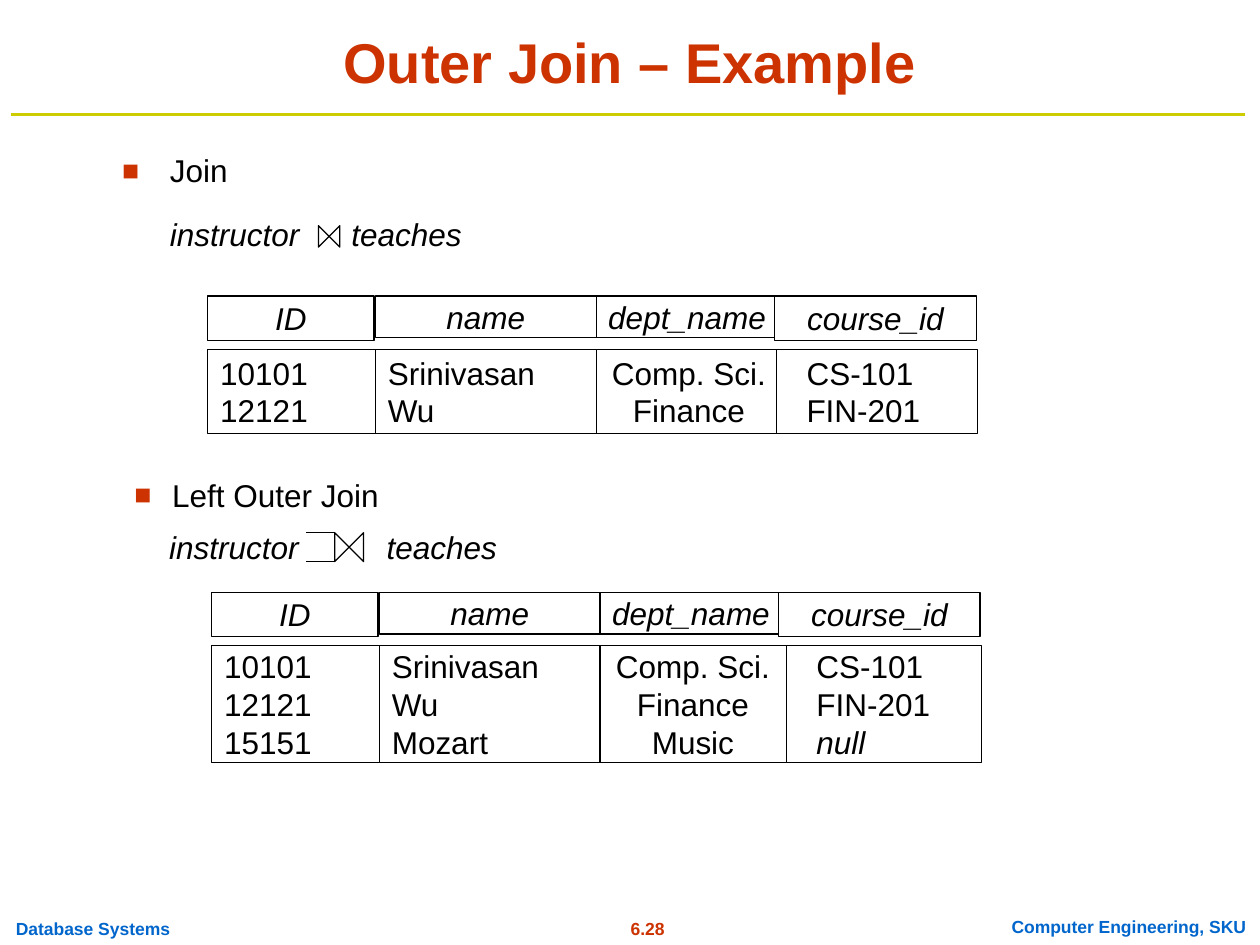
from lxml.etree import SubElement
from pptx import Presentation
from pptx.dml.color import RGBColor
from pptx.enum.shapes import MSO_CONNECTOR, MSO_SHAPE
from pptx.enum.text import MSO_ANCHOR, MSO_AUTO_SIZE, PP_ALIGN
from pptx.oxml.ns import qn
from pptx.util import Cm, Pt

RED, BLUE, OLIVE, BLACK, WHITE = "CC3300", "0066CC", "CCCC00", "000000", "FFFFFF"
LEFT, CENTER = PP_ALIGN.LEFT, PP_ALIGN.CENTER

HEADERS = ["ID", "name", "dept_name", "course_id"]
COLUMN_LEFTS = [0, 3.38, 7.82, 11.43]
HEADER_WIDTHS = [3.35, 4.45, 3.68, 4.06]
HEADER_HEIGHTS = [0.89, 0.84, 0.84, 0.89]
BODY_TOP = 1.07
TABLE_WIDTH = 15.52
DRAW_ORDER = [0, 2, 3, 1]


def color(code):
    return RGBColor.from_string(code)


def lengths(box):
    return [Cm(value) for value in box]


def style(para, size, code, bold=False, italic=False, align=LEFT):
    para.alignment = align
    font = para.font
    font.name, font.size = "Arial", Pt(size)
    font.bold, font.italic = bold, italic
    font.color.rgb = color(code)


def add_line(shapes, start, end, code, width):
    line = shapes.add_connector(MSO_CONNECTOR.STRAIGHT, *lengths(start + end))
    line.line.color.rgb = color(code)
    line.line.width = Pt(width)
    SubElement(line._element.spPr, qn("a:effectLst"))


def set_indent(para, indent, bulleted):
    props = para._p.get_or_add_pPr()
    props.set("marL", str(Cm(indent)))
    props.set("indent", str(-Cm(indent) if bulleted else 0))
    if not bulleted:
        SubElement(props, qn("a:buNone"))
        return
    SubElement(SubElement(props, qn("a:buClr")), qn("a:srgbClr"), val=RED)
    SubElement(props, qn("a:buSzPct"), val="90000")
    SubElement(props, qn("a:buFont"), typeface="Arial")
    SubElement(props, qn("a:buChar"), char="■")


def add_relation_names(para, symbol_space):
    """One widened space between the names leaves room for the join symbol."""
    for text in ("instructor", " ", "teaches"):
        span = para.add_run()
        span.text = text
        if text == " ":
            span._r.get_or_add_rPr().set("spc", str(int(symbol_space * 100)))


def fill_title(title, box):
    title.left, title.top, title.width, title.height = lengths(box)
    frame = title.text_frame
    frame.text = "Outer Join – Example"
    frame.auto_size = MSO_AUTO_SIZE.NONE
    frame.vertical_anchor = MSO_ANCHOR.BOTTOM
    style(frame.paragraphs[0], 32, RED, bold=True, align=CENTER)


def fill_join_list(shape, box, heading, indents, symbol_space, gap, spacing):
    """Bulleted heading, then the two relation names below it."""
    shape.left, shape.top, shape.width, shape.height = lengths(box)
    frame = shape.text_frame
    frame.word_wrap = True
    frame.auto_size = MSO_AUTO_SIZE.NONE
    frame.text = heading
    head = frame.paragraphs[0]
    relations = frame.add_paragraph()
    add_relation_names(relations, symbol_space)
    for para, indent, before in zip((head, relations), indents, (7.9, gap)):
        set_indent(para, indent, bulleted=para is head)
        style(para, 18, BLACK, italic=para is relations)
        para.line_spacing = spacing
        para.space_before = Pt(before)


def add_bowtie(shapes, left, top, size):
    bowtie = shapes.add_shape(MSO_SHAPE.FLOWCHART_COLLATE, *lengths((left, top, size, size)))
    bowtie.rotation = 270
    bowtie.shadow.inherit = False
    bowtie.fill.background()
    bowtie.line.color.rgb = color(BLACK)
    bowtie.line.width = Pt(0.75)


def add_left_outer_symbol(page, left, top, size):
    group = page.shapes.add_group_shape()
    add_bowtie(group.shapes, left + size, top, size)
    for y in (top, top + size):
        add_line(group.shapes, (left + size, y), (left, y), BLACK, 0.75)


def add_cell(page, box, lines, align, italic=False, inset=0.25):
    cell = page.shapes.add_shape(MSO_SHAPE.RECTANGLE, *lengths(box))
    cell.shadow.inherit = False
    cell.fill.solid()
    cell.fill.fore_color.rgb = color(WHITE)
    cell.line.color.rgb = color(BLACK)
    cell.line.width = Pt(0.75)
    frame = cell.text_frame
    frame.word_wrap = False
    frame.vertical_anchor = MSO_ANCHOR.MIDDLE
    frame.margin_left = Cm(inset)
    frame.text = "\n".join(lines)
    for para in frame.paragraphs:
        style(para, 18, BLACK, italic=italic or para.text == "null", align=align)


def add_relation(page, left, top, body_height, last_left, columns):
    """Header boxes above one tall box for each column of values."""
    body_lefts = COLUMN_LEFTS[:3] + [last_left]
    body_widths = [3.43, 4.45, 3.76, TABLE_WIDTH - last_left]
    for index in DRAW_ORDER:
        add_cell(page, (left + COLUMN_LEFTS[index], top,
                        HEADER_WIDTHS[index], HEADER_HEIGHTS[index]),
                 [HEADERS[index]], CENTER, italic=True)
        add_cell(page, (left + body_lefts[index], top + BODY_TOP,
                        body_widths[index], body_height),
                 columns[index], CENTER if index == 2 else LEFT,
                 inset=0.61 if index == 3 else 0.25)


def add_footer(page, box, text, code, align):
    frame = page.shapes.add_textbox(*lengths(box)).text_frame
    frame.word_wrap = False
    frame.text = text
    style(frame.paragraphs[0], 10, code, bold=True, align=align)


def main():
    deck = Presentation()
    deck.slide_width, deck.slide_height = Cm(25.4), Cm(19.05)
    page = deck.slides.add_slide(deck.slide_layouts[1])

    # Frame of the page
    add_footer(page, (11.81, 18.38, 2.49, 0.69), "6.28", RED, CENTER)
    add_footer(page, (0.07, 18.38, 3.61, 0.69), "Database Systems", BLUE, LEFT)
    add_footer(page, (20.14, 18.35, 5.23, 0.69), "Computer Engineering, SKU", BLUE, CENTER)
    add_line(page.shapes, (0.23, 2.31), (25.1, 2.31), OLIVE, 2)
    fill_title(page.shapes.title, (0.3, 0.33, 24.8, 1.7))

    # Join
    fill_join_list(page.placeholders[1], (2.21, 3, 19.43, 2.34), "Join",
                   (0.96, 0.96), 24.7, 17.5, 0.9)
    add_bowtie(page.shapes, 6.42, 4.55, 0.43)
    add_relation(page, 4.19, 5.97, 1.7, 11.46, [
        ["10101", "12121"], ["Srinivasan", "Wu"],
        ["Comp. Sci.", "Finance"], ["CS-101", "FIN-201"]])

    # Left outer join
    outer = page.shapes.add_textbox(0, 0, 0, 0)
    fill_join_list(outer, (2.46, 9.47, 11.76, 2.06), "Left Outer Join",
                   (0.76, 0.7), 45.3, 7.9, 1.0)
    add_left_outer_symbol(page, 6.17, 10.74, 0.58)
    add_relation(page, 4.27, 11.94, 2.36, 11.58, [
        ["10101", "12121", "15151"], ["Srinivasan", "Wu", "Mozart"],
        ["Comp. Sci.", "Finance", "Music"], ["CS-101", "FIN-201", "null"]])

    deck.save("out.pptx")


if __name__ == "__main__":
    main()
